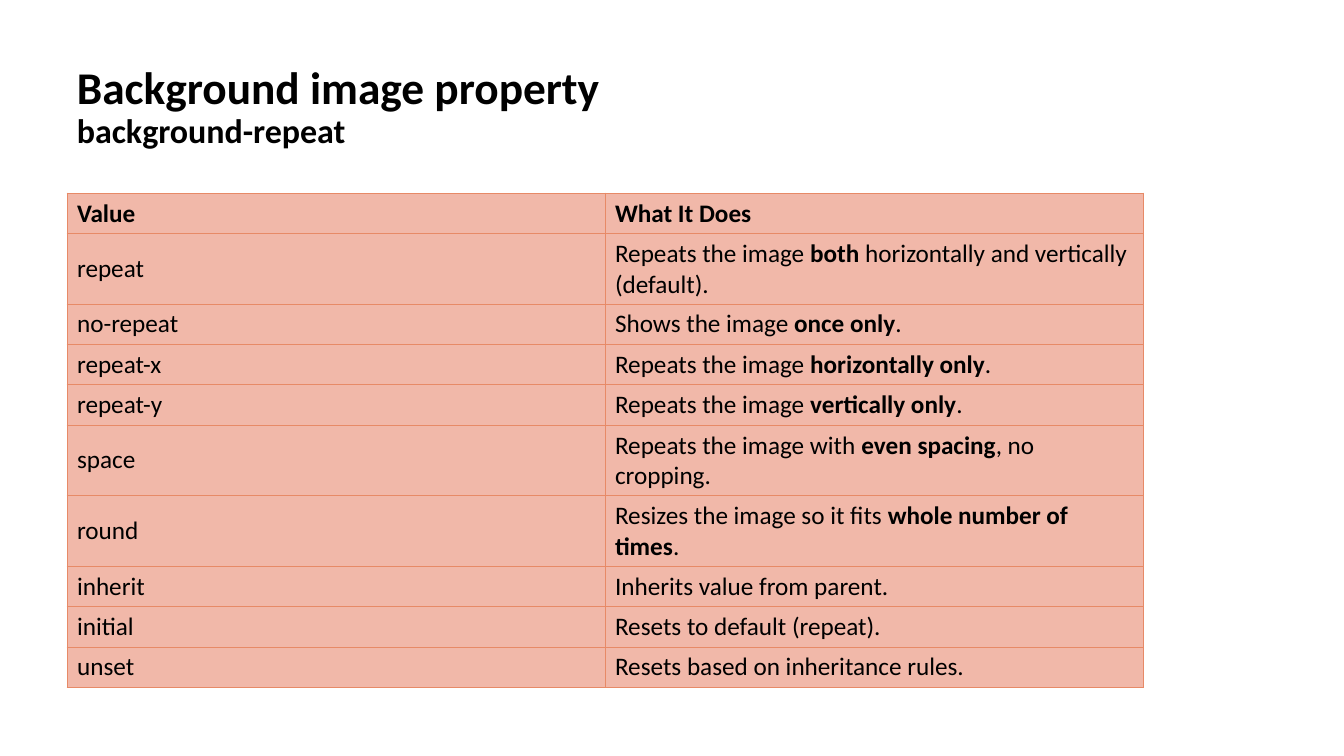
import pptx
import pptx.dml.color
import pptx.enum.text
import pptx.oxml
import pptx.oxml.ns
import pptx.util

EMU_PER_PX = 914400 / 100.8
ANCHOR = pptx.enum.text.MSO_ANCHOR

# Asterisks enclose the bold words.
REPEAT_VALUES = [
    ("*Value*", "*What It Does*"),
    ("repeat", "Repeats the image *both* horizontally and vertically (default)."),
    ("no-repeat", "Shows the image *once only*."),
    ("repeat-x", "Repeats the image *horizontally only*."),
    ("repeat-y", "Repeats the image *vertically only*."),
    ("space", "Repeats the image with *even spacing*, no cropping."),
    ("round", "Resizes the image so it fits *whole number of times*."),
    ("inherit", "Inherits value from parent."),
    ("initial", "Resets to default (repeat)."),
    ("unset", "Resets based on inheritance rules."),
]
TWO_LINE_VALUES = {"repeat", "space", "round"}


def px(length):
    return pptx.util.Emu(round(length * EMU_PER_PX))


def color(hex_code):
    return pptx.dml.color.RGBColor.from_string(hex_code)


class SlideBuilder:
    font_name = "Calibri"
    text_color = "000000"
    cell_color = "F1B8A9"
    border_color = "E78A67"
    border_points = 0.5

    def __init__(self, presentation):
        self.slide = presentation.slides.add_slide(presentation.slide_layouts[6])

    def add_run(self, paragraph, text, size, bold):
        run = paragraph.add_run()
        run.text = text
        formats = {"name": self.font_name, "size": pptx.util.Pt(size), "bold": bold}
        for name, value in formats.items():
            setattr(run.font, name, value)
        run.font.color.rgb = color(self.text_color)

    def add_title(self, box, lines):
        """Add one paragraph of bold (text, size) lines."""
        frame = self.slide.shapes.add_textbox(*map(px, box)).text_frame
        formats = {"word_wrap": True, "vertical_anchor": ANCHOR.TOP}
        for name, value in formats.items():
            setattr(frame, name, value)
        paragraph = frame.paragraphs[0]
        paragraph.line_spacing = 0.9
        for index, (text, size) in enumerate(lines):
            if index:
                paragraph.add_line_break()
            self.add_run(paragraph, text, size, True)

    def add_borders(self, cell):
        properties = cell._tc.get_or_add_tcPr()
        width = pptx.util.Pt(self.border_points)
        for position, side in enumerate(("lnL", "lnR", "lnT", "lnB")):
            line = pptx.oxml.parse_xml(
                f'<a:{side} {pptx.oxml.ns.nsdecls("a")} w="{width}"><a:solidFill>'
                f'<a:srgbClr val="{self.border_color}"/></a:solidFill></a:{side}>'
            )
            properties.insert(position, line)

    def fill_cell(self, cell, text, size):
        cell.vertical_anchor = ANCHOR.MIDDLE
        cell.fill.solid()
        cell.fill.fore_color.rgb = color(self.cell_color)
        self.add_borders(cell)
        for index, part in enumerate(text.split("*")):
            if part:
                self.add_run(cell.text_frame.paragraphs[0], part, size, index % 2 == 1)

    def add_table(self, box, rows, row_heights, size):
        table = self.slide.shapes.add_table(
            len(rows), len(rows[0]), *map(px, box)
        ).table
        for name in ("first_row", "horz_banding"):
            setattr(table, name, False)
        for row, height, texts in zip(table.rows, row_heights, rows):
            row.height = px(height)
            for cell, text in zip(row.cells, texts):
                self.fill_cell(cell, text, size)


def main():
    presentation = pptx.Presentation()
    presentation.slide_width = px(1344)
    presentation.slide_height = px(756)
    builder = SlideBuilder(presentation)
    builder.add_title(
        (67, 60, 1174, 125),
        [("Background image property", 32.4), ("background-repeat", 24.3)],
    )
    row_heights = [
        61 if value in TWO_LINE_VALUES else 35 for value, _ in REPEAT_VALUES
    ]
    builder.add_table(
        (67, 193, 1076, sum(row_heights)), REPEAT_VALUES, row_heights, 18
    )
    presentation.save("out.pptx")


if __name__ == "__main__":
    main()
